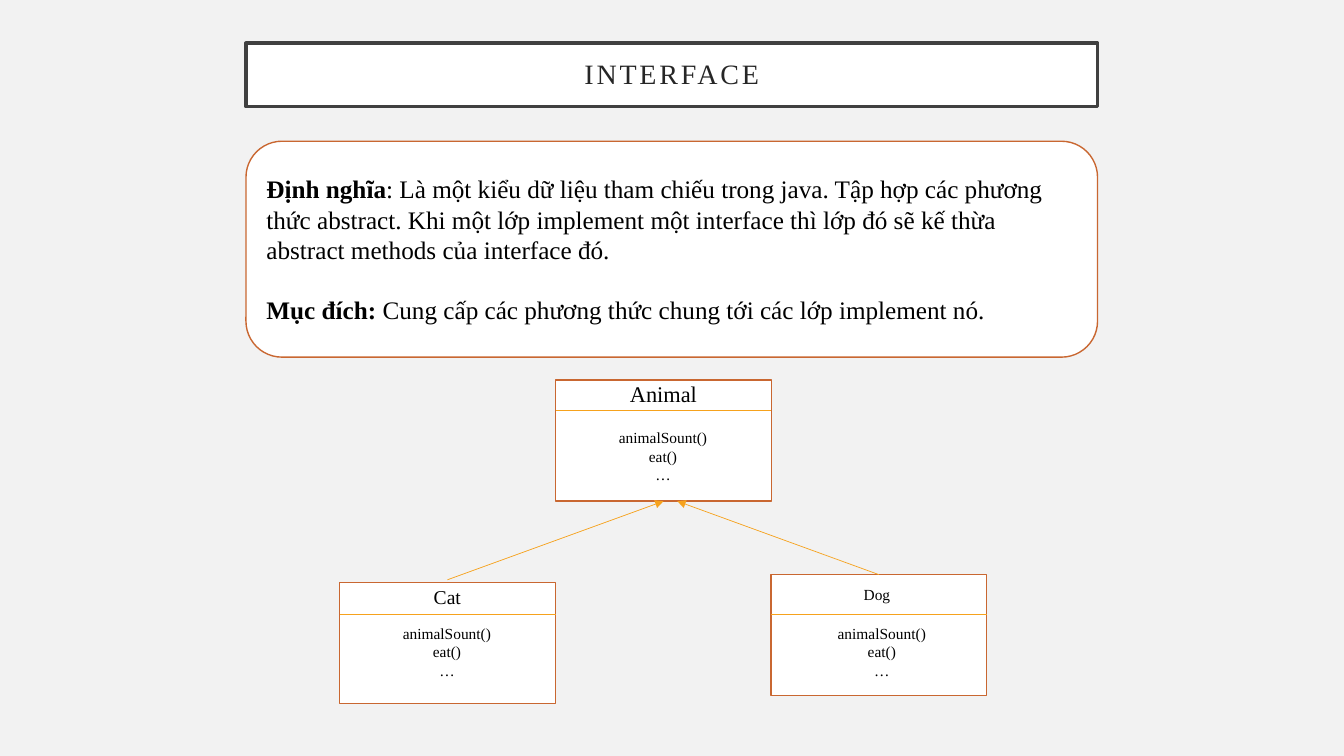
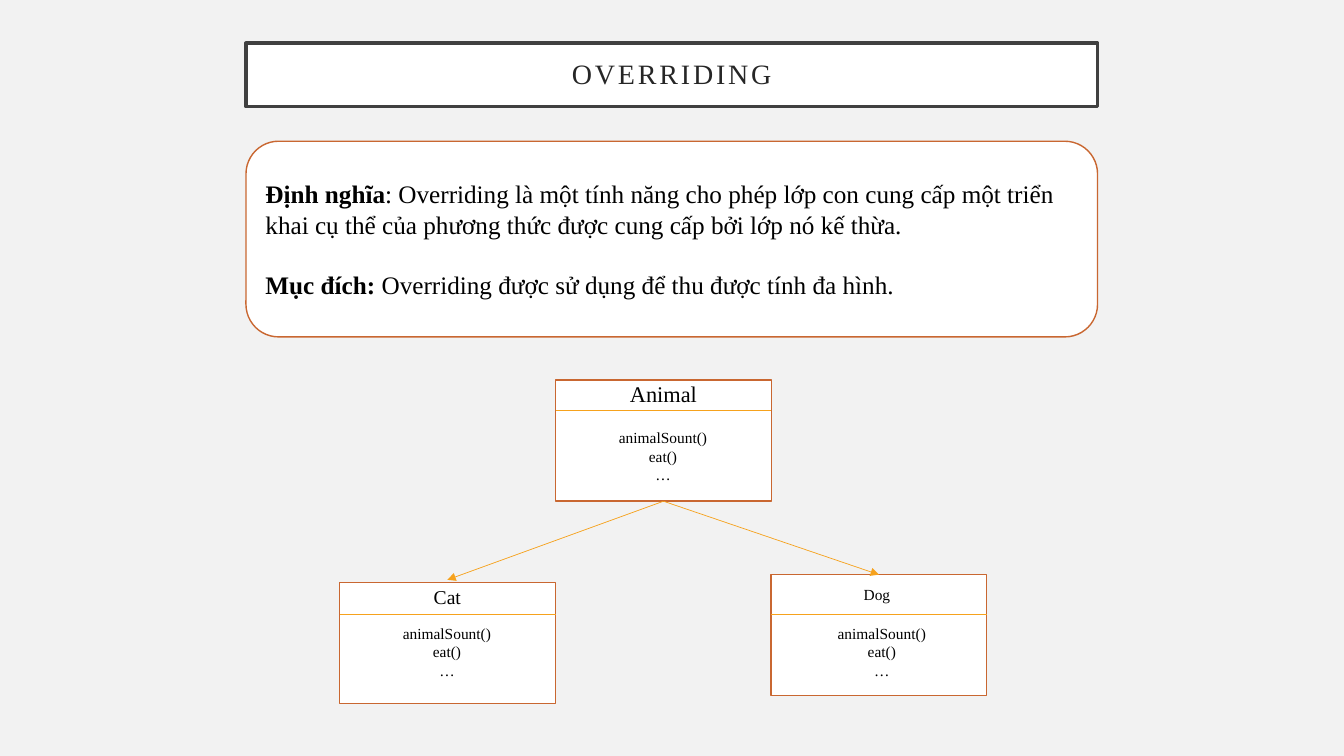
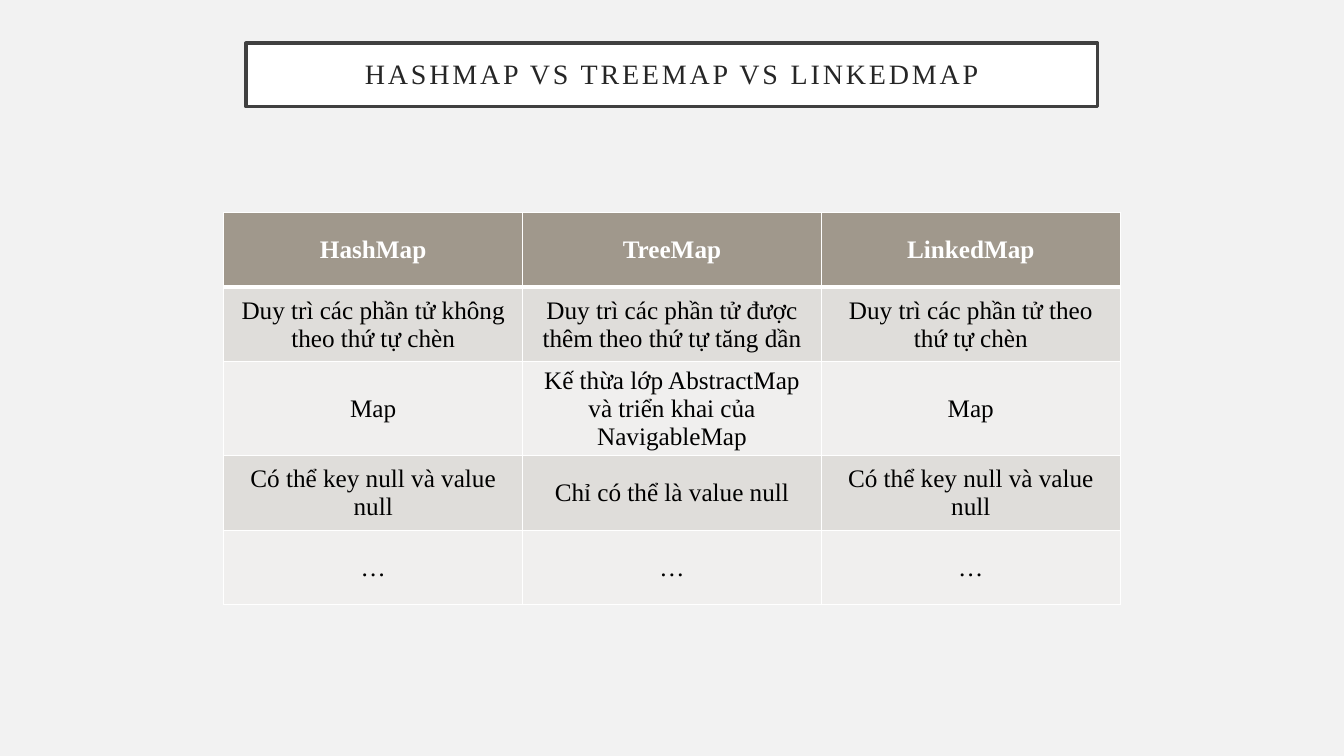
import lxml.etree
import pptx
import pptx.dml.color
import pptx.enum.shapes
import pptx.enum.text
import pptx.oxml.ns
import pptx.util

Cm, Pt = pptx.util.Cm, pptx.util.Pt
RGBColor = pptx.dml.color.RGBColor
SHAPE = pptx.enum.shapes.MSO_SHAPE
STRAIGHT = pptx.enum.shapes.MSO_CONNECTOR.STRAIGHT
CENTER, LEFT = pptx.enum.text.PP_ALIGN.CENTER, pptx.enum.text.PP_ALIGN.LEFT
MIDDLE = pptx.enum.text.MSO_ANCHOR.MIDDLE
qn = pptx.oxml.ns.qn

FONT = "Times New Roman"
PAPER = RGBColor(0xF2, 0xF2, 0xF2)
WHITE = RGBColor(0xFF, 0xFF, 0xFF)
BLACK = RGBColor(0, 0, 0)
TITLE_TEXT = RGBColor(0x26, 0x26, 0x26)
TITLE_LINE = RGBColor(0x40, 0x40, 0x40)
RUST = RGBColor(0xC9, 0x67, 0x31)
AMBER = RGBColor(0xF6, 0xA2, 0x1D)
HEADER = RGBColor(0xA0, 0x98, 0x8C)
BANDS = RGBColor(0xDF, 0xDD, 0xDA), RGBColor(0xF0, 0xEF, 0xEE)

# Lengths below are in centimetres.
FRAME_LEFT, FRAME_WIDTH = 6.2, 21.46
CLASS_WIDTH, CLASS_HEIGHT = 5.44, 3.05
METHODS = ["animalSount()", "eat()", "…"]

CLASSES = {
    "Animal": dict(at=(14, 9.58), divider=10.34, size=16,
                   name=(15.6, 9.45, 2.24, 0.94), methods=(15.11, 10.67, 3.2, 1.68)),
    "Dog": dict(at=(19.43, 14.48), divider=15.47, size=11,
                name=(21.45, 14.61, 1.3, 0.74), methods=(20.17, 15.6, 4.11, 2.13)),
    "Cat": dict(at=(8.56, 14.68), divider=15.47, size=14,
                name=(9.75, 14.61, 3.05, 0.86), methods=(9.45, 15.6, 3.63, 2.13)),
}

# An arrow end is a (class, connection site) pair, or a plain point.
ANIMAL, CAT, DOG = ("Animal", 2), ("Cat", 0), ("Dog", 0)
CLASS_SLIDES = [
    dict(
        title="INTERFACE",
        height=5.44,
        notes=[
            ("Định nghĩa", ": Là một kiểu dữ liệu tham chiếu trong java. Tập hợp các phương "
             "thức abstract. Khi một lớp implement một interface thì lớp đó sẽ kế thừa "
             "abstract methods của interface đó."),
            ("Mục đích: ", "Cung cấp các phương thức chung tới các lớp implement nó."),
        ],
        arrows=[(CAT, ANIMAL), (DOG, (17.07, 12.63))],
    ),
    dict(
        title="OVERRIDING",
        height=4.93,
        notes=[
            ("Định nghĩa", ": Overriding là một tính năng cho phép lớp con cung cấp một triển "
             "khai cụ thể của phương thức được cung cấp bởi lớp nó kế thừa."),
            ("Mục đích: ", "Overriding được sử dụng để thu được tính đa hình."),
        ],
        arrows=[(ANIMAL, CAT), (ANIMAL, DOG)],
    ),
]

MAP_TITLE = "HASHMAP VS TREEMAP VS LINKEDMAP"
MAP_ROWS = [
    ["HashMap", "TreeMap", "LinkedMap"],
    ["Duy trì các phần tử không theo thứ tự chèn",
     "Duy trì các phần tử được thêm theo thứ tự tăng dần",
     "Duy trì các phần tử theo thứ tự chèn"],
    ["Map", "Kế thừa lớp AbstractMap và triển khai của NavigableMap", "Map"],
    ["Có thể key null và value null", "Chỉ có thể là value null",
     "Có thể key null và value null"],
    ["…", "…", "…"],
]
COLUMN_WIDTH, ROW_HEIGHT = 7.53, 1.88


def style(p, size, color=BLACK, align=CENTER, bold=False):
    p.alignment = align
    p.font.name, p.font.size = FONT, Pt(size)
    p.font.color.rgb, p.font.bold = color, bold


def add_panel(slide, kind, left, top, width, height, line, weight=1):
    sp = slide.shapes.add_shape(kind, Cm(left), Cm(top), Cm(width), Cm(height))
    sp.shadow.inherit = False
    sp.fill.solid()
    sp.fill.fore_color.rgb = WHITE
    sp.line.color.rgb, sp.line.width = line, Pt(weight)
    return sp


def add_title(slide, text):
    sp = add_panel(slide, SHAPE.RECTANGLE, FRAME_LEFT, 1.09, FRAME_WIDTH, 1.6, TITLE_LINE, 2.5)
    tf = sp.text_frame
    tf.word_wrap, tf.vertical_anchor = True, MIDDLE
    tf.margin_left = tf.margin_right = tf.margin_top = tf.margin_bottom = Cm(0.51)
    p = tf.paragraphs[0]
    style(p, 20, TITLE_TEXT)
    p.line_spacing = 0.9
    r = p.add_run()
    r.text = text
    r._r.get_or_add_rPr().set("spc", "200")


def add_notes(slide, notes, height):
    sp = add_panel(slide, SHAPE.ROUNDED_RECTANGLE, FRAME_LEFT, 3.56, FRAME_WIDTH, height, RUST)
    tf = sp.text_frame
    tf.word_wrap, tf.vertical_anchor = True, MIDDLE
    for i, (term, meaning) in enumerate(notes):
        p = tf.add_paragraph() if i else tf.paragraphs[0]
        style(p, 18, align=LEFT)
        p.line_spacing = Pt(21.6)
        if i:
            p.space_before = Pt(21.6)
        for text, bold in ((term, True), (meaning, False)):
            r = p.add_run()
            r.text, r.font.bold = text, bold


def add_label(slide, box, lines, size):
    sp = slide.shapes.add_textbox(*map(Cm, box))
    tf = sp.text_frame
    tf.word_wrap = False
    for i, line in enumerate(lines):
        p = tf.add_paragraph() if i else tf.paragraphs[0]
        p.text = line
        style(p, size)
        if len(lines) > 1:
            p.line_spacing = Pt(1.2 * size)
    return sp


def add_line(slide, start=(0, 0), end=(0, 0)):
    line = slide.shapes.add_connector(STRAIGHT, *map(Cm, (*start, *end)))
    line.line.color.rgb, line.line.width = AMBER, Pt(0.5)
    lxml.etree.SubElement(line._element.spPr, qn("a:effectLst"))
    return line


def add_class(slide, name, box):
    """Draw one class box and return the shape that arrows join."""
    left, top = box["at"]
    sp = add_panel(slide, SHAPE.RECTANGLE, left, top, CLASS_WIDTH, CLASS_HEIGHT, RUST)
    add_line(slide, (left, box["divider"]), (left + CLASS_WIDTH, box["divider"]))
    label = add_label(slide, box["name"], [name], box["size"])
    add_label(slide, box["methods"], METHODS, 11)
    return label if name == "Cat" else sp


def add_arrow(slide, joints, start, end):
    arrow = add_line(slide)
    if start[0] in joints:
        arrow.begin_connect(joints[start[0]], start[1])
    else:
        arrow.begin_x, arrow.begin_y = map(Cm, start)
    if end[0] in joints:
        arrow.end_connect(joints[end[0]], end[1])
    else:
        arrow.end_x, arrow.end_y = map(Cm, end)
    ln = arrow.line._get_or_add_ln()
    lxml.etree.SubElement(ln, qn("a:tailEnd"), type="triangle")


def set_borders(cell, top, bottom):
    """Give a cell white borders; top and bottom are widths in points."""
    tcPr = cell._tc.get_or_add_tcPr()
    for side, width in (("L", 1), ("R", 1), ("T", top), ("B", bottom)):
        ln = lxml.etree.SubElement(tcPr, qn("a:ln" + side), w=str(Pt(width)))
        fill = lxml.etree.SubElement(ln, qn("a:solidFill"))
        lxml.etree.SubElement(fill, qn("a:srgbClr"), val=str(WHITE))


def add_map_table(slide):
    rows, columns = len(MAP_ROWS), len(MAP_ROWS[0])
    table = slide.shapes.add_table(rows, columns, Cm(5.64), Cm(5.36),
                                   Cm(columns * COLUMN_WIDTH), Cm(rows * ROW_HEIGHT)).table
    for i, row in enumerate(MAP_ROWS):
        header = i == 0
        for j, text in enumerate(row):
            cell = table.cell(i, j)
            cell.vertical_anchor = MIDDLE
            set_borders(cell, 3 if i == 1 else 1, 3 if header else 1)
            cell.fill.solid()
            cell.fill.fore_color.rgb = HEADER if header else BANDS[(i - 1) % 2]
            p = cell.text_frame.paragraphs[0]
            p.text = text
            style(p, 18, WHITE if header else BLACK, bold=header)


def main():
    prs = pptx.Presentation()
    prs.slide_width, prs.slide_height = Cm(33.87), Cm(19.05)
    background = prs.slide_master.background.fill
    background.solid()
    background.fore_color.rgb = PAPER
    blank = prs.slide_layouts[6]

    for content in CLASS_SLIDES:
        slide = prs.slides.add_slide(blank)
        add_title(slide, content["title"])
        add_notes(slide, content["notes"], content["height"])
        joints = {name: add_class(slide, name, box) for name, box in CLASSES.items()}
        for start, end in content["arrows"]:
            add_arrow(slide, joints, start, end)

    slide = prs.slides.add_slide(blank)
    add_map_table(slide)
    add_title(slide, MAP_TITLE)
    prs.save("out.pptx")


if __name__ == "__main__":
    main()
